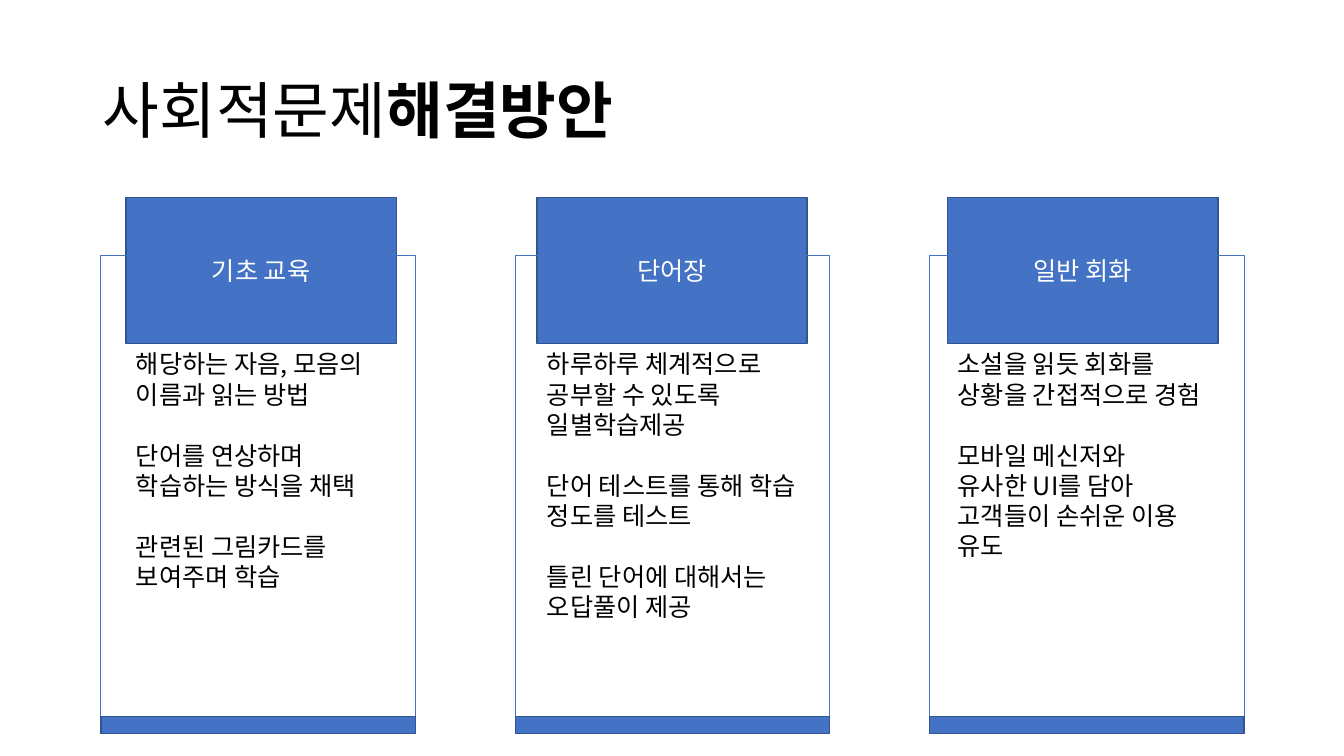
from dataclasses import dataclass

from lxml.etree import SubElement
from pptx import Presentation
from pptx.dml.color import RGBColor as RGB
from pptx.enum.shapes import MSO_SHAPE as SHAPE
from pptx.enum.text import MSO_ANCHOR as ANCHOR, MSO_AUTO_SIZE as AUTOSIZE, PP_ALIGN as ALIGN
from pptx.oxml.ns import qn
from pptx.util import Emu, Pt

TITLE = [("사회적문제", False), ("해결방안", True)]
COLUMNS = [
    ("기초 교육", 252, [
        "해당하는 자음, 모음의 이름과 읽는 방법",
        "단어를 연상하며 학습하는 방식을 채택",
        "관련된 그림카드를 보여주며 학습",
    ]),
    ("단어장", 283, [
        "하루하루 체계적으로 공부할 수 있도록 일별학습제공",
        "단어 테스트를 통해 학습 정도를 테스트",
        "틀린 단어에 대해서는 오답풀이 제공",
    ]),
    ("일반 회화", 192, [
        "소설을 읽듯 회화를 상황을 간접적으로 경험",
        "모바일 메신저와\v유사한 UI를 담아 고객들이 손쉬운 이용 유도",
    ]),
]


@dataclass(frozen=True)
class Theme:
    font: str = "Noto Sans CJK KR"
    ink: RGB = RGB(0x00, 0x00, 0x00)
    paper: RGB = RGB(0xFF, 0xFF, 0xFF)
    accent: RGB = RGB(0x44, 0x72, 0xC4)
    edge: RGB = RGB(0x32, 0x54, 0x91)
    title_size: int = 44
    body_size: int = 18
    paragraph_gap: int = 22
    edge_width: float = 1
    frame_width: float = 0.5


THEME = Theme()
PX = 9144
SLIDE = (1333, 750)
TITLE_BOX = (92, 40, 1150, 145)
HEADER_LEFT, HEADER_TOP, HEADER_PITCH = 125, 196, 407.5
HEADER_SIZE = (268, 145)
FRAME_LEFT, FRAME_TOP, FRAME_PITCH = 100, 253, 411
FRAME_SIZE = (312, 475)
FOOT_HEIGHT = 17


def px(*lengths):
    return [Emu(round(length * PX)) for length in lengths]


def style(font, size, color):
    font.name, font.size = THEME.font, Pt(size)
    font.color.rgb = color
    SubElement(font._element, qn("a:ea"), typeface=THEME.font)


def add_text_box(shapes, box):
    frame = shapes.add_textbox(*px(*box)).text_frame
    frame.word_wrap = True
    return frame


def add_title(slide):
    frame = add_text_box(slide.shapes, TITLE_BOX)
    frame.vertical_anchor = ANCHOR.MIDDLE
    heading = frame.paragraphs[0]
    heading.line_spacing = 0.9
    style(heading.font, THEME.title_size, THEME.ink)
    for words, bold in TITLE:
        run = heading.add_run()
        run.text = words
        run.font.bold = bold


def add_body(slide, box, points):
    frame = add_text_box(slide.shapes, box)
    frame.auto_size = AUTOSIZE.SHAPE_TO_FIT_TEXT
    for index, point in enumerate(points):
        paragraph = frame.add_paragraph() if index else frame.paragraphs[0]
        paragraph.text = point
        paragraph.space_before = Pt(THEME.paragraph_gap if index else 0)
        style(paragraph.font, THEME.body_size, THEME.ink)


def add_panel(shapes, box, line_color, line_width, fill=None):
    panel = shapes.add_shape(SHAPE.RECTANGLE, *px(*box))
    panel.shadow.inherit = False
    panel.line.color.rgb = line_color
    panel.line.width = Pt(line_width)
    if fill is None:
        panel.fill.background()
    else:
        panel.fill.solid()
        panel.fill.fore_color.rgb = fill
    return panel


def add_card(slide, index, label):
    card = slide.shapes.add_group_shape().shapes
    edge = (THEME.edge, THEME.edge_width, THEME.accent)
    header_box = (HEADER_LEFT + index * HEADER_PITCH, HEADER_TOP, *HEADER_SIZE)
    header = add_panel(card, header_box, *edge).text_frame
    header.vertical_anchor = ANCHOR.MIDDLE
    caption = header.paragraphs[0]
    caption.text, caption.alignment = label, ALIGN.CENTER
    style(caption.font, THEME.body_size, THEME.paper)

    left = FRAME_LEFT + index * FRAME_PITCH
    width, height = FRAME_SIZE
    add_panel(card, (left, FRAME_TOP, width, height), THEME.accent, THEME.frame_width)
    foot_top = FRAME_TOP + height - FOOT_HEIGHT
    add_panel(card, (left, foot_top, width, FOOT_HEIGHT), *edge)


def main():
    deck = Presentation()
    deck.slide_width, deck.slide_height = px(*SLIDE)
    slide = deck.slides.add_slide(deck.slide_layouts[6])
    add_title(slide)
    body_top = HEADER_TOP + HEADER_SIZE[1]
    for index, (_, height, points) in enumerate(COLUMNS):
        left = HEADER_LEFT + index * HEADER_PITCH
        add_body(slide, (left, body_top, HEADER_SIZE[0], height), points)
    for index, (label, _, _) in enumerate(COLUMNS):
        add_card(slide, index, label)
    deck.save("out.pptx")


if __name__ == "__main__":
    main()
